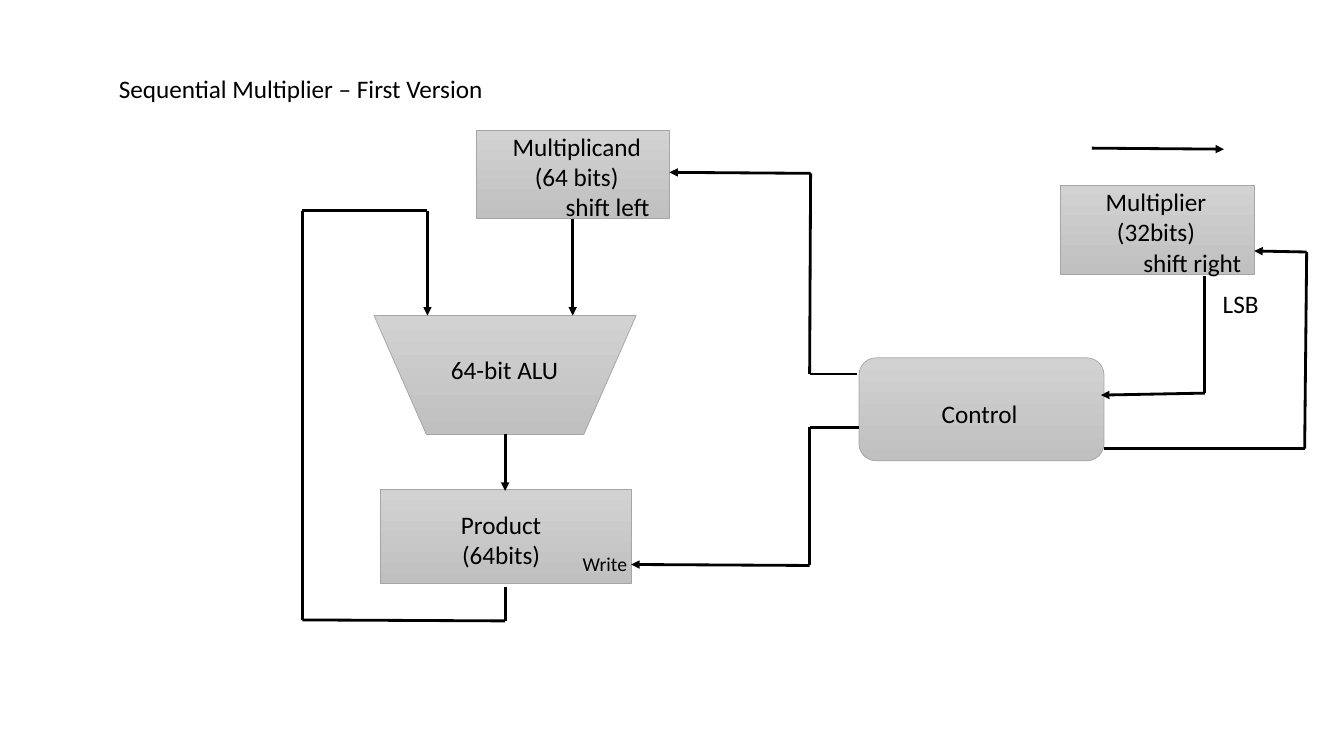
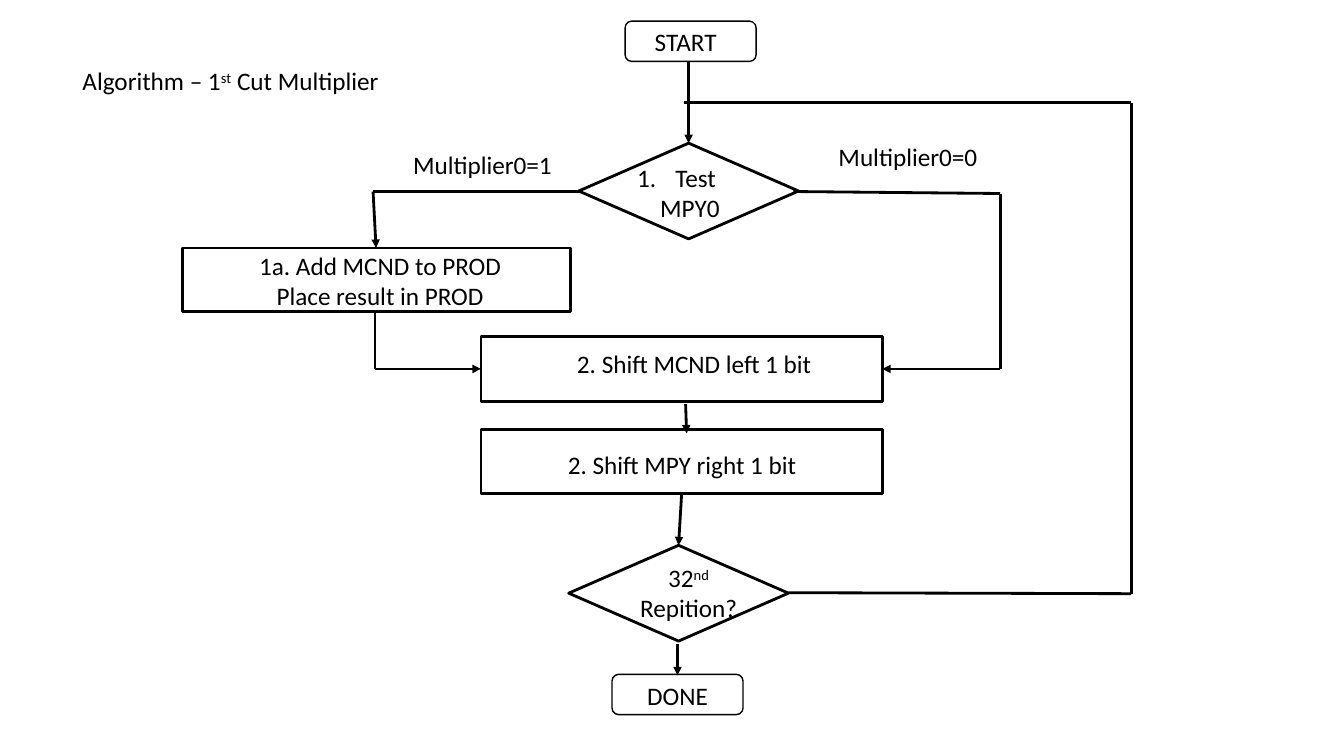
from itertools import pairwise

from pptx import Presentation
from pptx.dml.color import RGBColor
from pptx.enum.shapes import MSO_CONNECTOR, MSO_SHAPE
from pptx.enum.text import MSO_AUTO_SIZE, PP_ALIGN
from pptx.oxml.ns import qn
from pptx.util import Inches, Pt
from lxml.etree import SubElement

COLORS = {"ink": "000000", "edge": "A5A5A5", "paper": "FFFFFF",
          "light": "D2D2D2", "dark": "C0C0C0"}
FONT = "Calibri"


def color(name):
    """Return the named colour."""
    return RGBColor.from_string(COLORS[name])


def inches(*lengths):
    """Turn numbers into lengths."""
    return [Inches(length) for length in lengths]


def label(slide, box, *lines, align=PP_ALIGN.CENTER, size=18):
    """Add text; in a line given as a tuple, every second run is raised."""
    frame = slide.shapes.add_textbox(*inches(*box)).text_frame
    frame.word_wrap = True
    frame.auto_size = MSO_AUTO_SIZE.SHAPE_TO_FIT_TEXT
    for number, line in enumerate(lines):
        paragraph = frame.add_paragraph() if number else frame.paragraphs[0]
        paragraph.alignment = align
        for position, words in enumerate((line,) if isinstance(line, str) else line):
            run = paragraph.add_run()
            run.text = words
            run.font.name = FONT
            run.font.size = Pt(size)
            run.font.color.rgb = color("ink")
            if position % 2:
                run._r.get_or_add_rPr().set("baseline", "30000")
    return frame.paragraphs


def title(slide, box, *runs):
    """Add the slide heading."""
    label(slide, box, runs, align=PP_ALIGN.LEFT)


def indent(paragraph, left, first=0.0, numbered=False):
    """Indent a paragraph, with a number in front if wanted."""
    properties = paragraph._p.get_or_add_pPr()
    properties.set("marL", str(Inches(left)))
    properties.set("indent", str(Inches(first)))
    if numbered:
        SubElement(properties, qn("a:buAutoNum"), type="arabicPeriod")


def outline(slide, kind, box, edge="ink", width=2.0):
    """Add a preset shape with its outline and no shadow."""
    shape = slide.shapes.add_shape(kind, *inches(*box))
    shape.shadow.inherit = False
    shape.line.color.rgb = color(edge)
    shape.line.width = Pt(width)
    return shape


def unit(slide, kind, box):
    """Add a grey hardware unit."""
    fill = outline(slide, kind, box, "edge", 0.5).fill
    fill.gradient()
    fill.gradient_angle = 270
    for stop, shade in zip(fill.gradient_stops, ("light", "dark")):
        stop.color.rgb = color(shade)


def step(slide, kind, box):
    """Add a white flowchart step."""
    fill = outline(slide, kind, box).fill
    fill.solid()
    fill.fore_color.rgb = color("paper")


def terminal(slide, box):
    """Add the unfilled outline of a flowchart end point."""
    outline(slide, MSO_SHAPE.FLOWCHART_ALTERNATE_PROCESS, box, width=1).fill.background()


def wire(slide, *points, arrow=True):
    """Join the points by straight lines, ending in an arrowhead if wanted."""
    for start, end in pairwise(points):
        segment = slide.shapes.add_connector(
            MSO_CONNECTOR.STRAIGHT, *inches(*start, *end))
        segment.line.color.rgb = color("ink")
        segment.line.width = Pt(2)
        if arrow and end == points[-1]:
            SubElement(segment.line._get_or_add_ln(), qn("a:tailEnd"), type="triangle")
        SubElement(segment._element.spPr, qn("a:effectLst"))


def datapath(slide):
    """Draw the hardware of the sequential multiplier."""
    title(slide, (1.08, 0.68, 3.83, 0.4), "Sequential Multiplier – First Version")

    unit(slide, MSO_SHAPE.RECTANGLE, (4.72, 1.29, 1.92, 0.88))
    unit(slide, MSO_SHAPE.RECTANGLE, (10.52, 1.84, 1.92, 0.88))
    unit(slide, MSO_SHAPE.RECTANGLE, (3.77, 4.86, 2.49, 0.93))
    unit(slide, MSO_SHAPE.FLOWCHART_MANUAL_OPERATION, (3.71, 3.13, 2.6, 1.18))
    unit(slide, MSO_SHAPE.ROUNDED_RECTANGLE, (8.52, 3.55, 2.43, 1.02))

    multiplicand = label(slide, (4.88, 1.25, 1.68, 1.01),
                         "Multiplicand (64 bits)", "shift left")
    indent(multiplicand[1], 0.61)
    multiplier = label(slide, (10.49, 1.8, 1.95, 1.01),
                       "Multiplier (32bits)", "shift right")
    indent(multiplier[1], 0.72)
    label(slide, (4.04, 3.47, 1.93, 0.4), "64-bit ALU")
    label(slide, (4.34, 5, 1.26, 0.71), "Product", "(64bits)")
    label(slide, (5.68, 5.43, 0.89, 0.34), "Write", align=PP_ALIGN.LEFT, size=14)
    label(slide, (8.69, 3.9, 2.05, 0.4), "Control")
    label(slide, (11.28, 2.81, 2.05, 0.4), "LSB")

    wire(slide, (5.68, 2.17), (5.68, 3.13))
    wire(slide, (5.01, 4.31), (5.01, 4.87))
    wire(slide, (5.01, 5.82), (5.01, 6.16), (3, 6.15), (3, 2.09), (4.24, 2.09),
         (4.24, 3.13))
    wire(slide, (8.5, 3.71), (8.03, 3.71), (8.04, 1.72), (6.64, 1.71))
    wire(slide, (8.52, 4.24), (8.03, 4.24), (8.03, 5.61), (6.26, 5.6))
    wire(slide, (10.83, 1.47), (12.14, 1.48))
    wire(slide, (11.95, 2.74), (11.95, 3.9), (10.92, 3.92))
    wire(slide, (10.95, 4.45), (12.94, 4.45), (12.96, 2.5), (12.44, 2.49))


def flowchart(slide):
    """Draw the steps of the multiplication algorithm."""
    title(slide, (0.72, 0.6, 3.44, 0.4), "Algorithm – 1", "st", " Cut Multiplier")

    for left, top in ((6.2, 0.21), (6.07, 6.69)):
        terminal(slide, (left, top, 1.3, 0.4))
    for left, top in ((5.74, 1.42), (5.64, 5.41)):
        step(slide, MSO_SHAPE.FLOWCHART_DECISION, (left, top, 2.18, 0.95))
    step(slide, MSO_SHAPE.RECTANGLE, (1.81, 2.46, 3.85, 0.63))
    for top in (3.34, 4.26):
        step(slide, MSO_SHAPE.RECTANGLE, (4.77, top, 3.98, 0.64))

    label(slide, (5.19, 0.21, 3.22, 0.4), "START")
    test = label(slide, (6.22, 1.56, 1.3, 0.71), "Test", "MPY0", align=PP_ALIGN.LEFT)
    indent(test[0], 0.38, -0.38, numbered=True)
    indent(test[1], 0.23)
    label(slide, (3.93, 1.43, 1.71, 0.4), "Multiplier0=1")
    label(slide, (8.09, 1.35, 1.83, 0.4), "Multiplier0=0")
    label(slide, (2.16, 2.43, 3.22, 0.71), "1a. Add MCND to PROD", "Place result in PROD")
    label(slide, (5.02, 3.41, 3.73, 0.4), "2. Shift MCND left 1 bit")
    label(slide, (4.9, 4.41, 3.73, 0.4), "2. Shift MPY right 1 bit")
    label(slide, (6.18, 5.53, 1.3, 0.71), ("32", "nd"), "Repition?")
    label(slide, (5.11, 6.7, 3.22, 0.4), "DONE")

    wire(slide, (6.83, 0.61), (6.83, 1.42))
    wire(slide, (5.74, 1.9), (3.7, 1.9), (3.73, 2.46))
    wire(slide, (7.87, 1.9), (9.92, 1.92), (9.92, 3.66), (8.75, 3.66))
    wire(slide, (3.72, 3.08), (3.72, 3.66), (4.77, 3.66))
    wire(slide, (6.8, 4.01), (6.81, 4.3))
    wire(slide, (6.76, 4.91), (6.73, 5.41))
    wire(slide, (6.72, 6.39), (6.72, 6.7))
    wire(slide, (7.82, 5.88), (11.22, 5.89), (11.22, 1.02), (6.78, 1.02), arrow=False)


def main():
    """Build and save the presentation."""
    deck = Presentation()
    deck.slide_width, deck.slide_height = inches(13.33, 7.5)
    for draw in (datapath, flowchart):
        draw(deck.slides.add_slide(deck.slide_layouts[6]))
    deck.save("out.pptx")


main()
